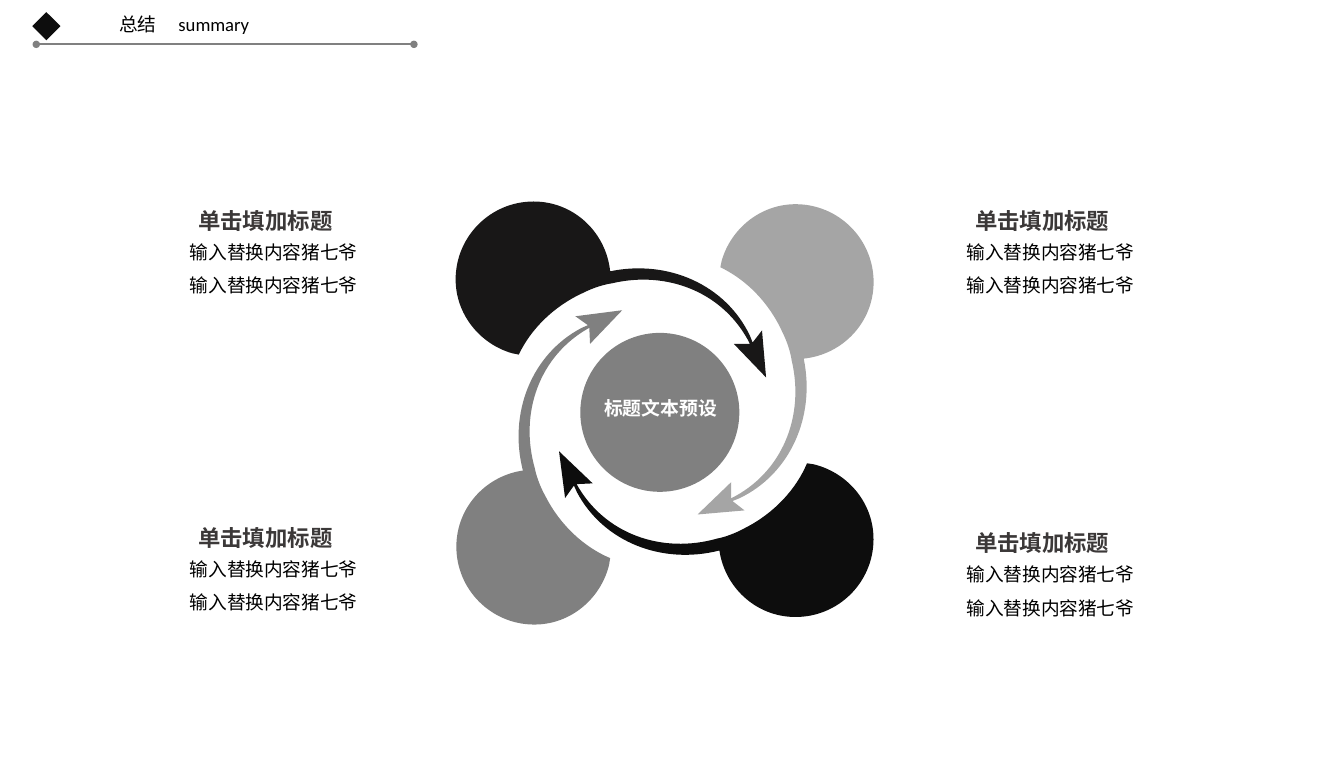
from math import cos, radians, sin

from lxml import etree
from pptx import Presentation
from pptx.dml.color import RGBColor
from pptx.enum.shapes import MSO_CONNECTOR, MSO_SHAPE
from pptx.enum.text import MSO_ANCHOR, MSO_AUTO_SIZE, PP_ALIGN
from pptx.oxml.ns import qn
from pptx.util import Inches, Pt

LEFT, CENTER = PP_ALIGN.LEFT, PP_ALIGN.CENTER
TOP, MIDDLE = MSO_ANCHOR.TOP, MSO_ANCHOR.MIDDLE
GROW, FIXED = MSO_AUTO_SIZE.SHAPE_TO_FIT_TEXT, MSO_AUTO_SIZE.NONE
LATIN, CJK = "Calibri", "Noto Sans CJK SC"

# Content
HEAD = ("总结", "summary")
HUB = "标题文本预设"
TITLE = "单击填加标题"
LINES = ["输入替换内容猪七爷"] * 2
NOTES = [(0.96, 1.5), (0.96, 3.86), (6.74, 1.5), (6.74, 3.9)]  # left, top

# Each arm: tip, clockwise turn in degrees, colour
ARMS = [
    ((5.7, 2.81), 0, "181717"),
    ((5.19, 3.83), 90, "A5A5A5"),
    ((4.16, 3.36), 177.5, "0D0D0D"),
    ((4.63, 2.31), 267.5, "808080"),
]
# Outline of the first arm: one point makes a line, three make a curve
OUTLINE = [
    [(5.7, 2.81)], [(5.67, 2.46)], [(5.6, 2.55)], [(5.58, 2.5)],
    [(5.4, 2.12), (4.97, 1.93), (4.54, 2.02)],
    [(4.51, 1.73), (4.27, 1.5), (3.97, 1.5)],
    [(3.65, 1.5), (3.39, 1.76), (3.39, 2.08)],
    [(3.39, 2.34), (3.57, 2.56), (3.81, 2.63)],
    [(3.86, 2.64)],
    [(3.95, 2.45), (4.12, 2.28), (4.34, 2.18)],
    [(4.46, 2.12), (4.55, 2.11), (4.55, 2.11)],
    [(4.97, 2.01), (5.39, 2.18), (5.58, 2.56)],
    [(5.46, 2.56)],
]

# Text formats
BODY = {"size": Pt(10), "name": CJK}
BOLD = {"size": Pt(12), "name": CJK, "bold": True}
CORE = {"size": Pt(10.1), "name": CJK, "bold": True}
WORD = {"size": Pt(10), "name": LATIN}


def rgb(code):
    return RGBColor.from_string(code)


def paint(shape, fill, line=None, width=0):
    shape.shadow.inherit = False
    shape.fill.solid()
    shape.fill.fore_color.rgb = rgb(fill)
    if line:
        shape.line.color.rgb = rgb(line)
        shape.line.width = Pt(width)
    else:
        shape.line.fill.background()


def write(shapes, box, lines, form, color="000000", align=LEFT, wrap=True,
          grow=True, anchor=TOP, inset=True, gap=0, pitch=None):
    frame = shapes.add_textbox(*map(Inches, box)).text_frame
    frame.word_wrap = wrap
    frame.auto_size = GROW if grow else FIXED
    frame.vertical_anchor = anchor
    if not inset:
        for side in ("left", "top", "right", "bottom"):
            setattr(frame, "margin_" + side, 0)
    for i, text in enumerate(lines):
        para = frame.paragraphs[0] if i == 0 else frame.add_paragraph()
        para.alignment = align
        if i:
            para.space_before = Pt(gap)
        if pitch:
            para.line_spacing = pitch
        run = para.add_run()
        run.text = text
        for key, value in form.items():
            setattr(run.font, key, value)
        run.font.color.rgb = rgb(color)
        # East Asian text keeps the line height of the Latin face
        etree.SubElement(run.font._element, qn("a:ea"), typeface=LATIN)


def turn(points, tip, angle):
    ox, oy = points[0]
    c, s = cos(radians(angle)), sin(radians(angle))
    return [
        (Inches(tip[0] + (x - ox) * c - (y - oy) * s),
         Inches(tip[1] + (x - ox) * s + (y - oy) * c))
        for x, y in points
    ]


def bend(shape, parts):
    """Join each run of three line points into one cubic curve."""
    steps = iter(list(shape._element.iter(qn("a:lnTo"))))
    for part in parts:
        group = [next(steps) for _ in part]
        if len(group) == 3:
            curve = etree.Element(qn("a:cubicBezTo"))
            group[0].addprevious(curve)
            for step in group:
                curve.append(step[0])
                step.getparent().remove(step)


deck = Presentation()
deck.slide_width, deck.slide_height = Inches(10), Inches(5.71)
shapes = deck.slides.add_slide(deck.slide_layouts[6]).shapes

# Header
rule = shapes.add_connector(
    MSO_CONNECTOR.STRAIGHT, *map(Inches, (0.27, 0.33, 3.08, 0.33)))
rule.line.color.rgb = rgb("808080")
rule.line.width = Pt(1)
for end in ("a:headEnd", "a:tailEnd"):
    etree.SubElement(rule.line._get_or_add_ln(), qn(end),
                     type="oval", w="sm", len="sm")
etree.SubElement(rule._element.spPr, qn("a:effectLst"))
mark = shapes.add_shape(
    MSO_SHAPE.DIAMOND, *map(Inches, (0.24, 0.09, 0.21, 0.21)))
paint(mark, "0D0D0D")
write(shapes, (0.79, 0.05, 2.93, 0.27), HEAD[:1], BODY)
write(shapes, (1.23, 0.05, 0.73, 0.27), HEAD[1:], WORD, wrap=False)

# Hub and four turning arms
wheel = shapes.add_group_shape().shapes
hub = wheel.add_shape(MSO_SHAPE.OVAL, *map(Inches, (4.36, 2.52, 1.1, 1.1)))
paint(hub, "808080", "808080", 6)
points = [point for part in OUTLINE for point in part]
for tip, angle, color in ARMS:
    start, *rest = turn(points, tip, angle)
    pen = wheel.build_freeform(*start, scale=1.0)
    pen.add_line_segments(rest, close=True)
    arm = pen.convert_to_shape()
    bend(arm, OUTLINE[1:])
    paint(arm, color)
write(wheel, (4.42, 2.92, 0.99, 0.24), [HUB], CORE, "FFFFFF", CENTER,
      wrap=False, grow=False, anchor=MIDDLE)

# Notes at the corners
for x, y in NOTES:
    write(shapes, (x, y + 0.24, 2.15, 0.52), LINES, BODY, align=CENTER, gap=6)
    write(shapes, (x + 0.33, y, 1.37, 0.23), [TITLE], BOLD, "3B3838", CENTER,
          inset=False, pitch=1.2)

deck.save("out.pptx")
